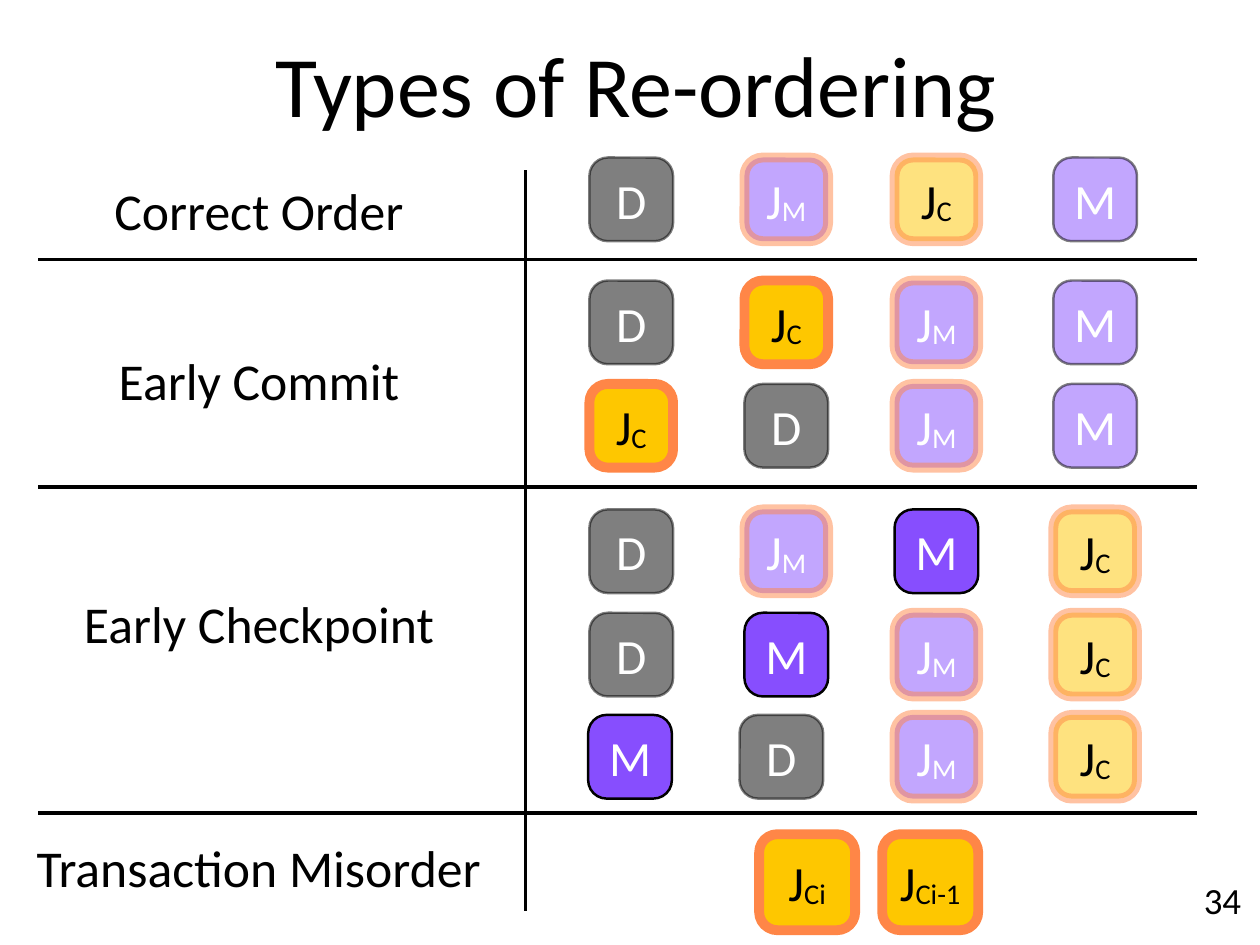
"""Build the slide that compares correct and incorrect orders of journaled writes."""
from lxml.etree import SubElement
from pptx import Presentation
from pptx.dml.color import RGBColor
from pptx.enum.shapes import MSO_CONNECTOR as CONNECTOR, MSO_SHAPE as SHAPE
from pptx.enum.text import MSO_ANCHOR as ANCHOR, PP_ALIGN as ALIGN
from pptx.oxml.ns import qn
from pptx.util import Pt

BLACK = RGBColor(0x00, 0x00, 0x00)
WHITE = RGBColor(0xFF, 0xFF, 0xFF)
PURPLE = RGBColor(0x87, 0x4E, 0xFE)
YELLOW = RGBColor(0xFE, 0xC7, 0x00)
ORANGE = RGBColor(0xFF, 0x86, 0x47)

FRAME_FORMAT = {
    "margin_left": Pt(4),
    "margin_right": Pt(4),
    "margin_top": Pt(4),
    "margin_bottom": Pt(4),
}
TILE_STYLES = {
    "D": (BLACK, BLACK, 2, WHITE),
    "M": (PURPLE, BLACK, 2, WHITE),
    "JM": (PURPLE, ORANGE, 8, WHITE),
    "JC": (YELLOW, ORANGE, 8, BLACK),
}


def write_text(shape, text, size, color, wrap=True, anchor=ANCHOR.MIDDLE, subscript=""):
    """Write one centred line, with an optional subscript, into a shape."""
    frame = shape.text_frame
    frame_format = FRAME_FORMAT | {"word_wrap": wrap, "vertical_anchor": anchor}
    for name, value in frame_format.items():
        setattr(frame, name, value)
    paragraph = frame.paragraphs[0]
    paragraph.alignment = ALIGN.CENTER
    for part in filter(None, (text, subscript)):
        run = paragraph.add_run()
        run.text = part
        for name, value in {"name": "Calibri", "size": Pt(size)}.items():
            setattr(run.font, name, value)
        run.font.color.rgb = color
    if subscript:
        run.font._element.set("baseline", "-6000")


def add_tile(kind, subscript, left, top, side, radius, faded):
    """Add a rounded tile for one kind of write, half transparent when faded."""
    fill, outline, weight, text_color = TILE_STYLES[kind]
    tile = slide.shapes.add_shape(
        SHAPE.ROUNDED_RECTANGLE, Pt(left), Pt(top), Pt(side), Pt(side))
    tile.shadow.inherit = False
    tile.adjustments[0] = radius
    tile.fill.solid()
    tile.fill.fore_color.rgb = fill
    tile.line.color.rgb = outline
    tile.line.width = Pt(weight)
    if faded:
        for color in tile.element.spPr.iter(qn("a:srgbClr")):
            SubElement(color, qn("a:alpha"), val="50000")
    write_text(tile, kind[0], 40, text_color, subscript=subscript)


presentation = Presentation()
presentation.slide_width = Pt(1024)
presentation.slide_height = Pt(768)
slide = presentation.slides.add_slide(presentation.slide_layouts[6])

title = slide.shapes.add_textbox(Pt(18.7), Pt(20), Pt(996), Pt(94.5))
write_text(title, "Types of Re-ordering", 70, BLACK)

page_number = slide.shapes.add_textbox(Pt(974), Pt(709), Pt(39), Pt(43))
write_text(page_number, "34", 30, BLACK, wrap=False, anchor=ANCHOR.TOP)

row_rules = [(31, y, 973, y) for y in (211, 396, 661)]
for ends in row_rules + [(427, 740, 427, 138)]:
    rule = slide.shapes.add_connector(CONNECTOR.STRAIGHT, *map(Pt, ends))
    rule.line.color.rgb = BLACK
    rule.line.width = Pt(3)
    SubElement(rule.element.spPr, qn("a:effectLst"))

for text, left, top, width in (
    ("Correct Order", 77, 142, 267),
    ("Early Commit", 88.5, 280, 244),
    ("Early Checkpoint", 60, 478, 301),
    ("Transaction Misorder", 24.5, 676, 371.5),
):
    label = slide.shapes.add_textbox(Pt(left), Pt(top), Pt(width), Pt(57))
    write_text(label, text, 42, BLACK, wrap=False)

columns = (479, 605, 727, 856)
shifted_columns = (478, 601, 727, 856)
for top, lefts, order, early in (
    (128, columns, "D JM JC M", None),
    (228, columns, "D JC JM M", "JC"),
    (312, columns, "JC D JM M", "JC"),
    (414, columns, "D JM M JC", "M"),
    (498, columns, "D M JM JC", "M"),
    (581, shifted_columns, "M D JM JC", "M"),
):
    for left, kind in zip(lefts, order.split()):
        add_tile(kind, kind[1:], left, top, 68, 0.22, faded=kind != early)

for left, subscript in ((617, "Ci"), (717, "Ci-1")):
    add_tile("JC", subscript, left, 678, 78, 0.19, faded=False)

presentation.save("out.pptx")
